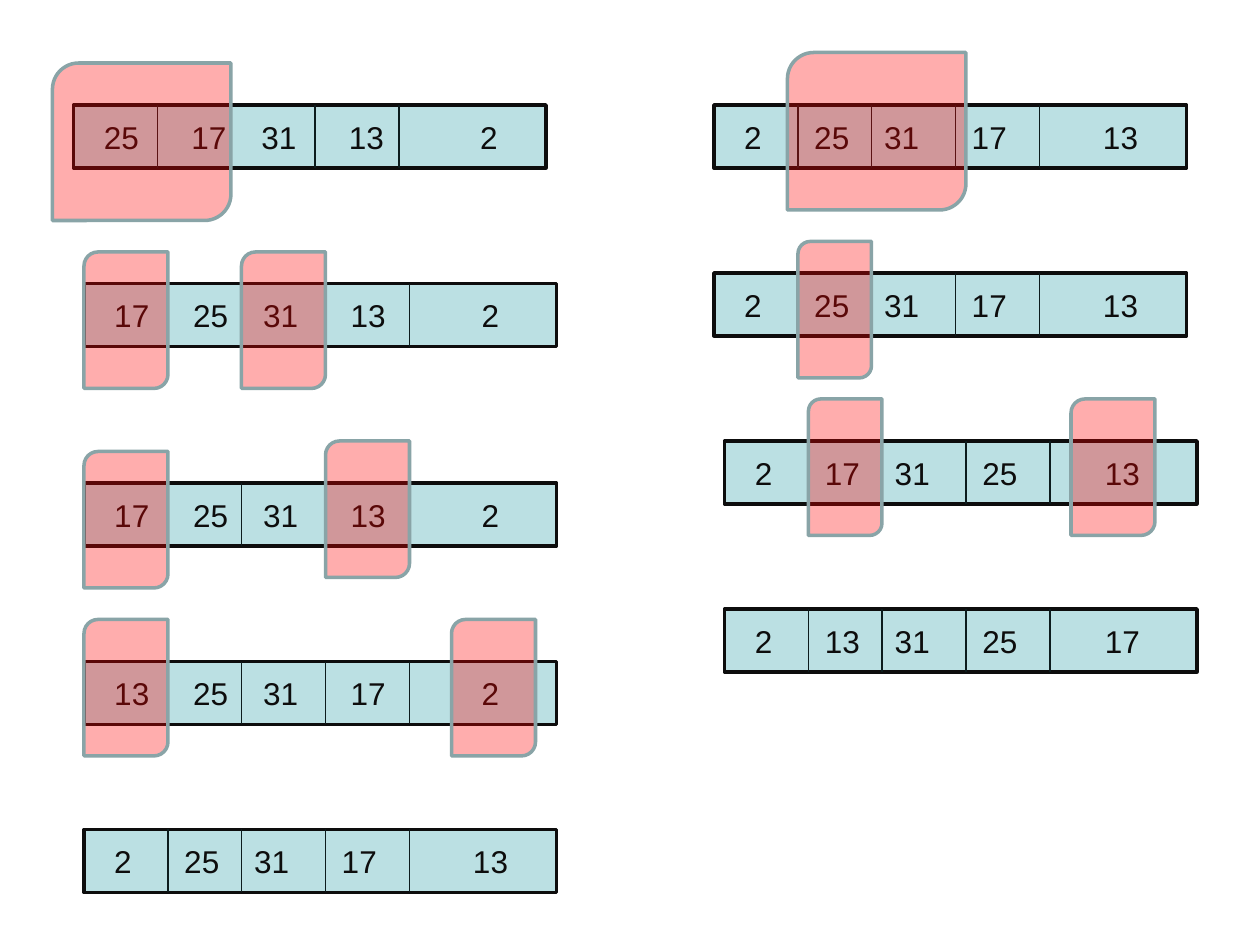
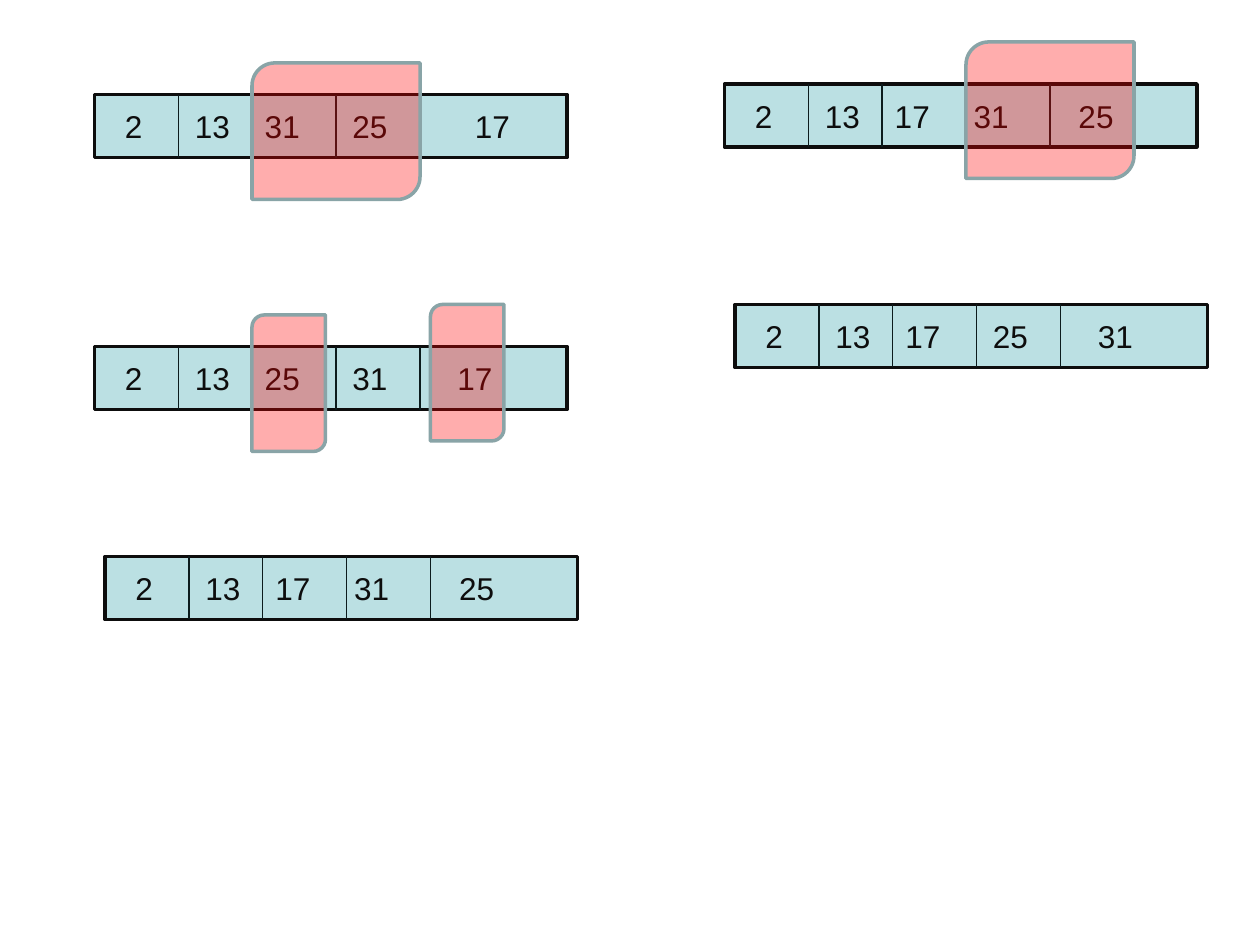
"""Builds two slides that trace a heap sort through array bars and highlighted cells."""
from lxml.etree import SubElement
from pptx import Presentation
from pptx.dml.color import RGBColor
from pptx.enum.shapes import MSO_CONNECTOR, MSO_SHAPE
from pptx.enum.text import MSO_ANCHOR, PP_ALIGN
from pptx.oxml.ns import qn
from pptx.util import Cm, Pt

COLORS = {"cell": "BBE0E3", "ink": "0D0D0D", "divider": "0C1C1D",
          "highlight": "FF0000", "outline": "89A4A7"}
FONT = "Arial"

WIDE = (6, 4, 6, 11)
FIRST_TIGHT = (5, 4, 6, 11)
MEDIUM = (6, 4, 6, 10)
NARROW = (6, 4, 6, 8)
NARROW_TIGHT = (6, 4, 5, 8)

# fmt: each bar is left, top, values, gaps in spaces, highlights (left, top, width, height)
SLIDES = [
    [
        (7, 10, "25 17 31 13 2", WIDE, [(5, 6, 17, 15)]),
        (8, 27, "17 25 31 13 2", FIRST_TIGHT, [(8, 24, 8, 13), (23, 24, 8, 13)]),
        (8, 46, "17 25 31 13 2", FIRST_TIGHT, [(8, 43, 8, 13), (31, 42, 8, 13)]),
        (8, 63, "13 25 31 17 2", FIRST_TIGHT, [(8, 59, 8, 13), (43, 59, 8, 13)]),
        (8, 79, "2 25 31 17 13", WIDE, []),
        (68, 10, "2 25 31 17 13", WIDE, [(75, 5, 17, 15)]),
        (68, 26, "2 25 31 17 13", WIDE, [(76, 23, 7, 13)]),
        (69, 42, "2 17 31 25 13", MEDIUM, [(77, 38, 7, 13), (102, 38, 8, 13)]),
        (69, 58, "2 13 31 25 17", MEDIUM, []),
    ],
    [
        (9, 9, "2 13 31 25 17", MEDIUM, [(24, 6, 16, 13)]),
        (9, 33, "2 13 25 31 17", NARROW, [(24, 30, 7, 13), (41, 29, 7, 13)]),
        (10, 53, "2 13 17 31 25", NARROW_TIGHT, []),
        (69, 8, "2 13 17 31 25", NARROW_TIGHT, [(92, 4, 16, 13)]),
        (70, 29, "2 13 17 25 31", NARROW, []),
    ],
]

BAR_WIDTH, BAR_HEIGHT = 45, 6
DIVIDERS = (8, 15, 23, 31)
SPACE_WIDTH = Pt(5)
DIGIT_WIDTH = Pt(10)


def grid(steps):
    return Cm(steps * 2.54 / 12)


def rgb(name):
    return RGBColor.from_string(COLORS[name])


def add_box(slide, preset, box, fill, line):
    shape = slide.shapes.add_shape(preset, *map(grid, box))
    shape.shadow.inherit = False
    shape.fill.solid()
    shape.fill.fore_color.rgb = rgb(fill)
    shape.line.color.rgb = rgb(line)
    shape.line.width = Pt(2)
    return shape


def write_text(shape, text, *, tabs, size=18, color="ink", inset=Cm(0.61)):
    frame = shape.text_frame
    frame.word_wrap = True
    frame.vertical_anchor = MSO_ANCHOR.MIDDLE
    frame.margin_left = inset
    paragraph = frame.paragraphs[0]
    paragraph.alignment = PP_ALIGN.LEFT
    tab_list = SubElement(paragraph._p.get_or_add_pPr(), qn("a:tabLst"))
    for position in tabs:
        SubElement(tab_list, qn("a:tab"), pos=str(position), algn="l")
    run = paragraph.add_run()
    run.text = text
    run.font.name = FONT
    run.font.size = Pt(size)
    run.font.color.rgb = rgb(color)


def add_divider(slide, x, top):
    line = slide.shapes.add_connector(
        MSO_CONNECTOR.STRAIGHT, grid(x), grid(top), grid(x), grid(top + BAR_HEIGHT))
    line.line.color.rgb = rgb("divider")
    line.line.width = Pt(1)
    SubElement(line._element.spPr, qn("a:effectLst"))


def add_highlight(slide, box):
    shape = add_box(slide, MSO_SHAPE.ROUND_2_DIAG_RECTANGLE, box, "highlight", "outline")
    color = shape._element.spPr.find(qn("a:solidFill"))[0]
    SubElement(color, qn("a:alpha"), val="32000")


def add_bar(slide, left, top, numbers, gaps, highlights):
    values = numbers.split()
    tabs, position = [], 0
    for value, gap in zip(values, gaps):
        position += len(value) * DIGIT_WIDTH + gap * SPACE_WIDTH
        tabs.append(position)
    bar = add_box(slide, MSO_SHAPE.RECTANGLE, (left, top, BAR_WIDTH, BAR_HEIGHT), "cell", "ink")
    write_text(bar, "\t".join(values), tabs=tabs)
    for offset in DIVIDERS:
        add_divider(slide, left + offset, top)
    for box in highlights:
        add_highlight(slide, box)


def main():
    presentation = Presentation()
    presentation.slide_width, presentation.slide_height = Cm(25.4), Cm(19.05)
    for bars in SLIDES:
        slide = presentation.slides.add_slide(presentation.slide_layouts[6])
        for bar in bars:
            add_bar(slide, *bar)
    presentation.save("out.pptx")


if __name__ == "__main__":
    main()
